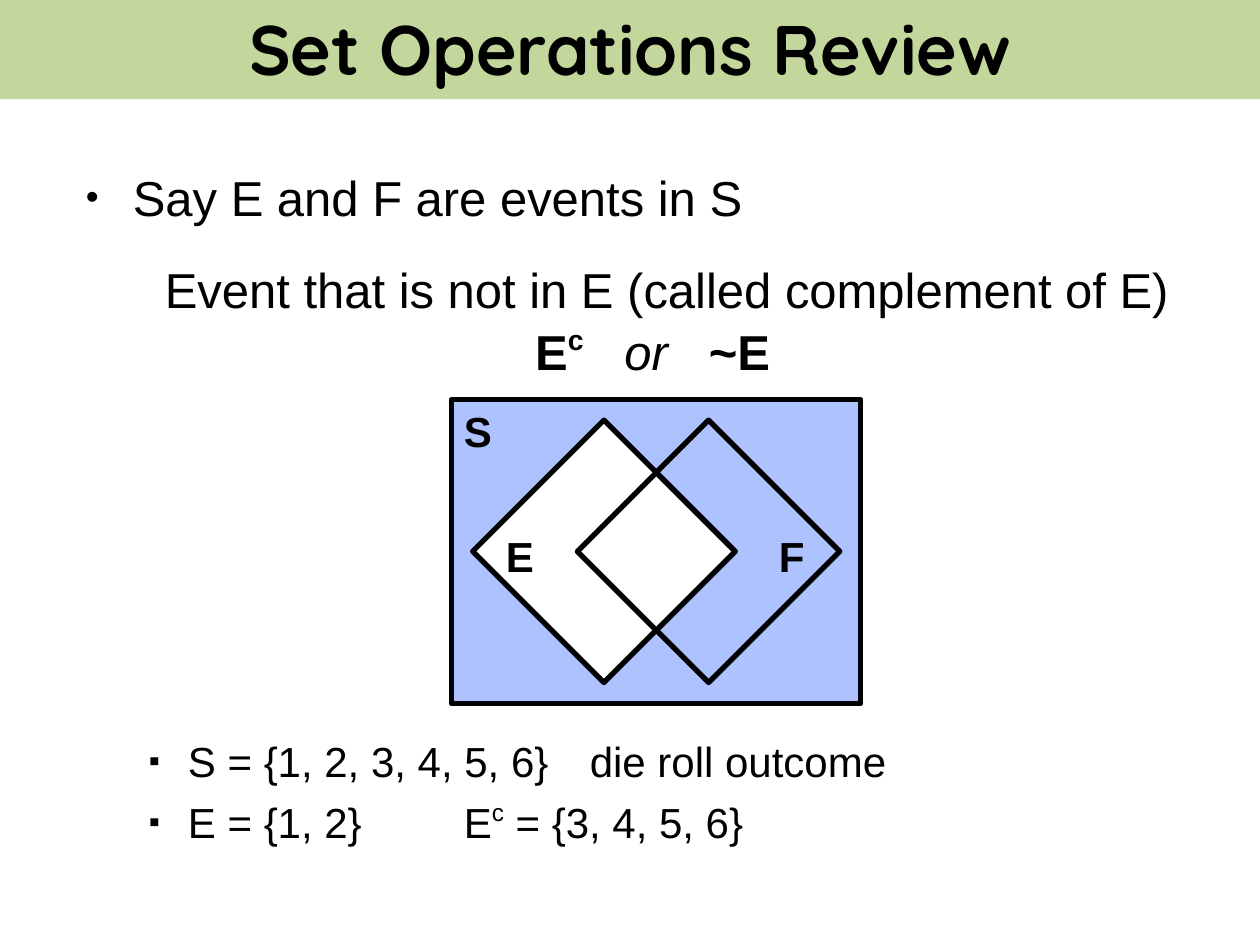
from lxml.etree import SubElement
from pptx import Presentation
from pptx.dml.color import RGBColor
from pptx.enum.shapes import MSO_SHAPE
from pptx.enum.text import MSO_ANCHOR, MSO_AUTO_SIZE, PP_ALIGN
from pptx.oxml.ns import qn
from pptx.util import Cm, Pt

INK, BLUE, WHITE, GREEN = "010000", "ADC2FF", "FFFFFF", "C3D69B"
TITLE = "Set Operations Review"
INTRO = [[("Say E and F are events in S", "")]]
DEFINITION = [[("Event that is not in E (called complement of E)", "")]]
NOTATION = [[("E", "b"), ("c", "b^"), ("\t", ""), ("or", "i"), ("\t", ""), ("~E", "b")]]
EXAMPLES = [
    [("S = {1, 2, 3, 4, 5, 6}\tdie roll outcome", "")],
    [("E = {1, 2}\tE", ""), ("c", "^"), (" = {3, 4, 5, 6}", "")],
]
VENN = [
    (MSO_SHAPE.RECTANGLE, 9.1, 8.05, 8.25, 6.14, BLUE),
    (MSO_SHAPE.DIAMOND, 11.64, 8.47, 5.29, 5.29, BLUE),
    (MSO_SHAPE.DIAMOND, 9.53, 8.47, 5.29, 5.29, WHITE),
    (MSO_SHAPE.DIAMOND, 11.64, 9.53, 3.18, 3.18, WHITE),
]
SET_LABELS = [("E", 9.95, 10.57), ("F", 15.45, 10.57), ("S", 9.1, 8.05)]


def color(value):
    return RGBColor.from_string(value)


def style(font, size, name="Arial"):
    font.size = Pt(size)
    font.name = name
    font.color.rgb = color(INK)


def add_bullet(props, char, margin, indent):
    props.set("marL", str(Cm(margin)))
    props.set("indent", str(-Cm(indent)))
    SubElement(SubElement(props, qn("a:buClr")), qn("a:srgbClr"), val=INK)
    SubElement(props, qn("a:buSzPct"), val="75000")
    SubElement(props, qn("a:buFont"), typeface="Arial")
    SubElement(props, qn("a:buChar"), char=char)


def add_text(slide, lines, left, top, width, height, size,
             align=PP_ALIGN.LEFT, bullet=None, tabs=(), gap=0):
    frame = slide.shapes.add_textbox(Cm(left), Cm(top), Cm(width), Cm(height)).text_frame
    frame.word_wrap = True
    for index, runs in enumerate(lines):
        line = frame.add_paragraph() if index else frame.paragraphs[0]
        props = line._p.get_or_add_pPr()
        if bullet:
            add_bullet(props, *bullet)
        if tabs:
            stops = SubElement(props, qn("a:tabLst"))
            for stop in tabs:
                SubElement(stops, qn("a:tab"), pos=str(Cm(stop)), algn="l")
        line.alignment = align
        if index:
            line.space_before = Pt(gap)
        style(line.font, size)
        for words, marks in runs:
            run = line.add_run()
            run.text = words
            if "b" in marks:
                run.font.bold = True
            if "i" in marks:
                run.font.italic = True
            if "^" in marks:
                run.font._element.set("baseline", "40000")


def add_title(slide):
    title = slide.shapes.title
    title.left, title.top, title.width, title.height = Cm(0), Cm(-0.08), Cm(25.4), Cm(2.08)
    title.fill.solid()
    title.fill.fore_color.rgb = color(GREEN)
    frame = title.text_frame
    frame.text = TITLE
    frame.auto_size = MSO_AUTO_SIZE.NONE
    frame.vertical_anchor = MSO_ANCHOR.MIDDLE
    heading = frame.paragraphs[0]
    heading.alignment = PP_ALIGN.CENTER
    style(heading.font, 40, "Quicksand")
    heading.font.bold = True


def add_venn(slide):
    for kind, left, top, width, height, fill in VENN:
        region = slide.shapes.add_shape(kind, Cm(left), Cm(top), Cm(width), Cm(height))
        region.shadow.inherit = False
        region.fill.solid()
        region.fill.fore_color.rgb = color(fill)
        region.line.color.rgb = color(INK)
        region.line.width = Pt(3)
    for label, left, top in SET_LABELS:
        add_text(slide, [[(label, "b")]], left, top, 1.9, 1.27, 24)


def main():
    deck = Presentation()
    deck.slide_width, deck.slide_height = Cm(25.4), Cm(19.05)
    slide = deck.slides.add_slide(deck.slide_layouts[5])
    add_title(slide)
    add_text(slide, INTRO, 1.48, 3.25, 23.28, 1.45, 28, bullet=("•", 0.95, 0.95))
    add_text(slide, DEFINITION, 2.75, 5.1, 21.38, 1.45, 28, align=PP_ALIGN.CENTER)
    add_text(slide, NOTATION, 10.54, 6.35, 6, 1.45, 28, tabs=(1.8, 3.5))
    add_venn(slide)
    add_text(slide, EXAMPLES, 1.48, 14.7, 23.28, 2.6, 24,
             bullet=("▪", 2.06, 0.79), tabs=(7.62, 10.16), gap=6)
    deck.save("out.pptx")


if __name__ == "__main__":
    main()
